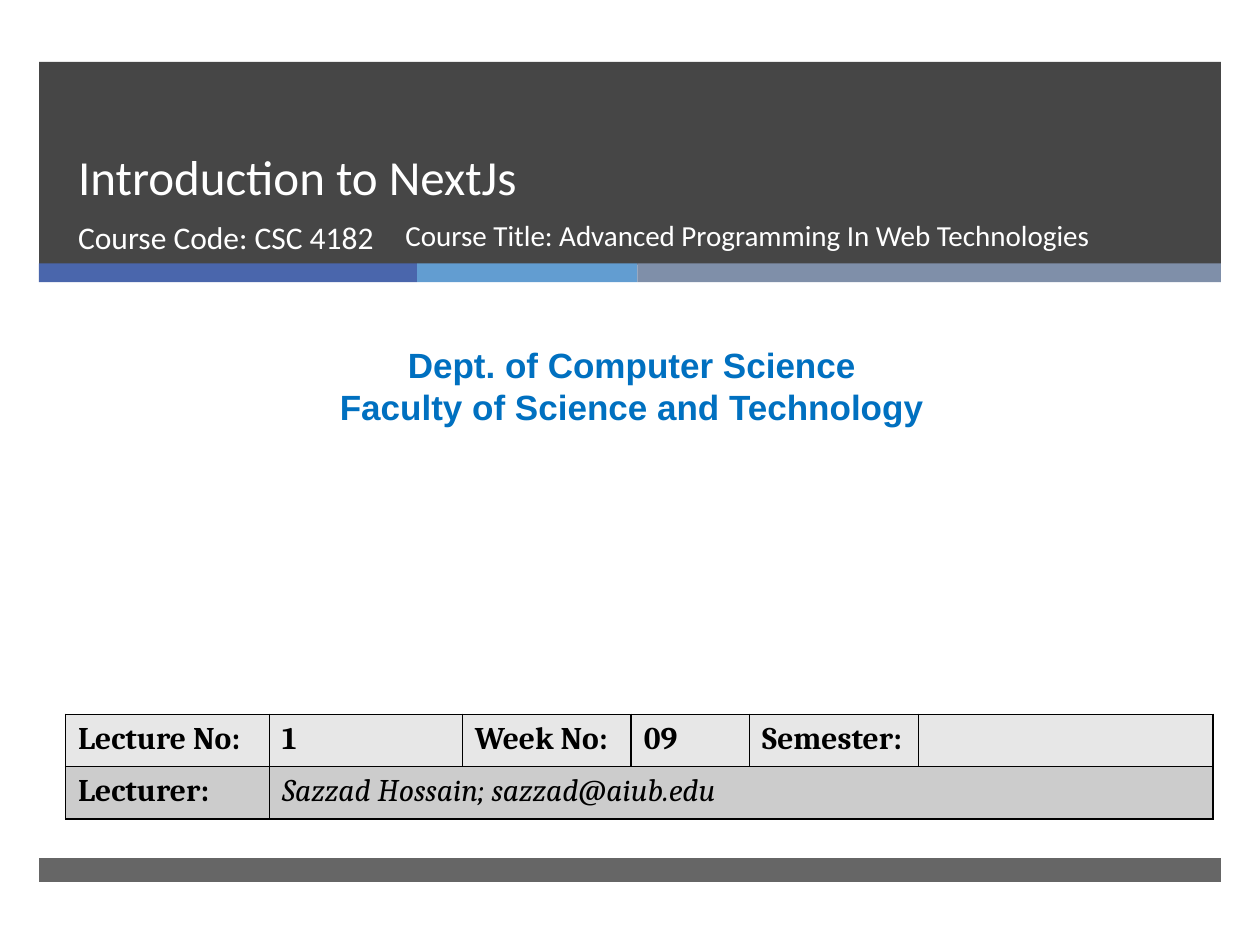
from lxml import etree
from pptx import Presentation
from pptx.dml.color import RGBColor
from pptx.enum import shapes, text
from pptx.oxml.ns import qn
from pptx.util import Inches, Pt

HUES = {
    "dark": "262626", "navy": "4A66AC", "sky": "629DD1", "slate": "7F8FA9",
    "blue": "0070C0", "white": "FFFFFF", "black": "000000",
    "light": "E7E7E7", "grey": "CCCCCC",
}
LEFT, WIDTH = 0.31, 9.38


def color(name):
    return RGBColor.from_string(HUES[name])


def write(frame, words, size=18, font="Calibri", hue="white", bold=False,
          italic=False, align=text.PP_ALIGN.LEFT, lead=None):
    """Fill a text frame, one paragraph for each line of words."""
    frame.word_wrap = True
    for i, line in enumerate(words.split("\n")):
        par = frame.paragraphs[0] if i == 0 else frame.add_paragraph()
        par.alignment = align
        par.space_before = Pt(0)
        if lead:
            par.line_spacing = Pt(lead)
        run = par.add_run()
        run.text = line
        face = run.font
        face.name, face.size = font, Pt(size)
        face.bold, face.italic = bold, italic
        face.color.rgb = color(hue)


def add_bar(slide, left, top, width, height, hue, alpha=None):
    bar = slide.shapes.add_shape(
        shapes.MSO_SHAPE.RECTANGLE,
        Inches(left), Inches(top), Inches(width), Inches(height))
    bar.shadow.inherit = False
    bar.fill.solid()
    bar.fill.fore_color.rgb = color(hue)
    bar.line.fill.background()
    if alpha:
        tone = bar._element.spPr.find(".//" + qn("a:srgbClr"))
        etree.SubElement(tone, qn("a:alpha")).set("val", str(alpha * 1000))


def set_holder(slide, index, box, anchor, words, **style):
    """Place a title placeholder in front of the bars and fill it."""
    holder = slide.placeholders[index]
    holder.left, holder.top, holder.width, holder.height = map(Inches, box)
    slide.shapes._spTree.append(holder._element)
    frame = holder.text_frame
    frame.auto_size = text.MSO_AUTO_SIZE.NONE
    frame.vertical_anchor = anchor
    write(frame, words, **style)


def add_text(slide, box, words, **style):
    area = slide.shapes.add_textbox(*map(Inches, box))
    write(area.text_frame, words, **style)


def set_cell(cell, hue):
    """Give a cell its fill and thin black borders."""
    props = cell._tc.get_or_add_tcPr()
    for side in ("a:lnL", "a:lnR", "a:lnT", "a:lnB"):
        line = etree.SubElement(props, qn(side), w=str(Pt(1)))
        fill = etree.SubElement(line, qn("a:solidFill"))
        etree.SubElement(fill, qn("a:srgbClr"), val=HUES["black"])
    cell.fill.solid()
    cell.fill.fore_color.rgb = color(hue)


def add_grid(slide):
    rows = [["Lecture No:", "1", "Week No:", "09", "Semester:", ""],
            ["Lecturer:", "Sazzad Hossain; sazzad@aiub.edu"]]
    wide = [1.62, 1.53, 1.34, 0.94, 1.34, 2.34]
    grid = slide.shapes.add_table(
        2, len(wide), Inches(0.52), Inches(5.67),
        Inches(sum(wide)), Inches(0.83)).table
    for col, width in zip(grid.columns, wide):
        col.width = Inches(width)
    for r, hue in enumerate(("light", "grey")):
        for cell in grid.rows[r].cells:
            set_cell(cell, hue)
    grid.cell(1, 1).merge(grid.cell(1, 5))
    for r, row in enumerate(rows):
        for c, words in enumerate(row):
            name = (r, c) == (1, 1)
            write(grid.cell(r, c).text_frame, words, font="Cambria",
                  hue="black", bold=not name, italic=name)


def main():
    deck = Presentation()
    deck.slide_width, deck.slide_height = Inches(10), Inches(7.5)
    slide = deck.slides.add_slide(deck.slide_layouts[0])

    # Header band, colour strip and footer band
    add_bar(slide, LEFT, 0.49, WIDTH, 1.61, "dark", alpha=85)
    left = LEFT
    for width, hue in ((3, "navy"), (1.75, "sky"), (4.63, "slate")):
        add_bar(slide, left, 2.09, width, 0.15, hue)
        left += width
    add_bar(slide, LEFT, 6.81, WIDTH, 0.19, "dark", alpha=70)

    # Title and course lines
    set_holder(slide, 0, (0.52, 0.49, 8.54, 1.19), text.MSO_ANCHOR.BOTTOM,
               "Introduction to NextJs", size=28, lead=46)
    set_holder(slide, 1, (0.52, 1.68, 3.05, 0.53), text.MSO_ANCHOR.TOP,
               "Course Code: CSC 4182")
    add_text(slide, (3.12, 1.68, 5.94, 0.53),
             "Course Title: Advanced Programming In Web Technologies",
             size=16.6)

    # Department
    add_text(slide, (0.08, 2.68, 9.87, 0.77),
             "Dept. of Computer Science\nFaculty of Science and Technology",
             size=20, font="Arial", hue="blue", bold=True,
             align=text.PP_ALIGN.CENTER)

    # Lecture details
    add_grid(slide)
    deck.save("out.pptx")


if __name__ == "__main__":
    main()
